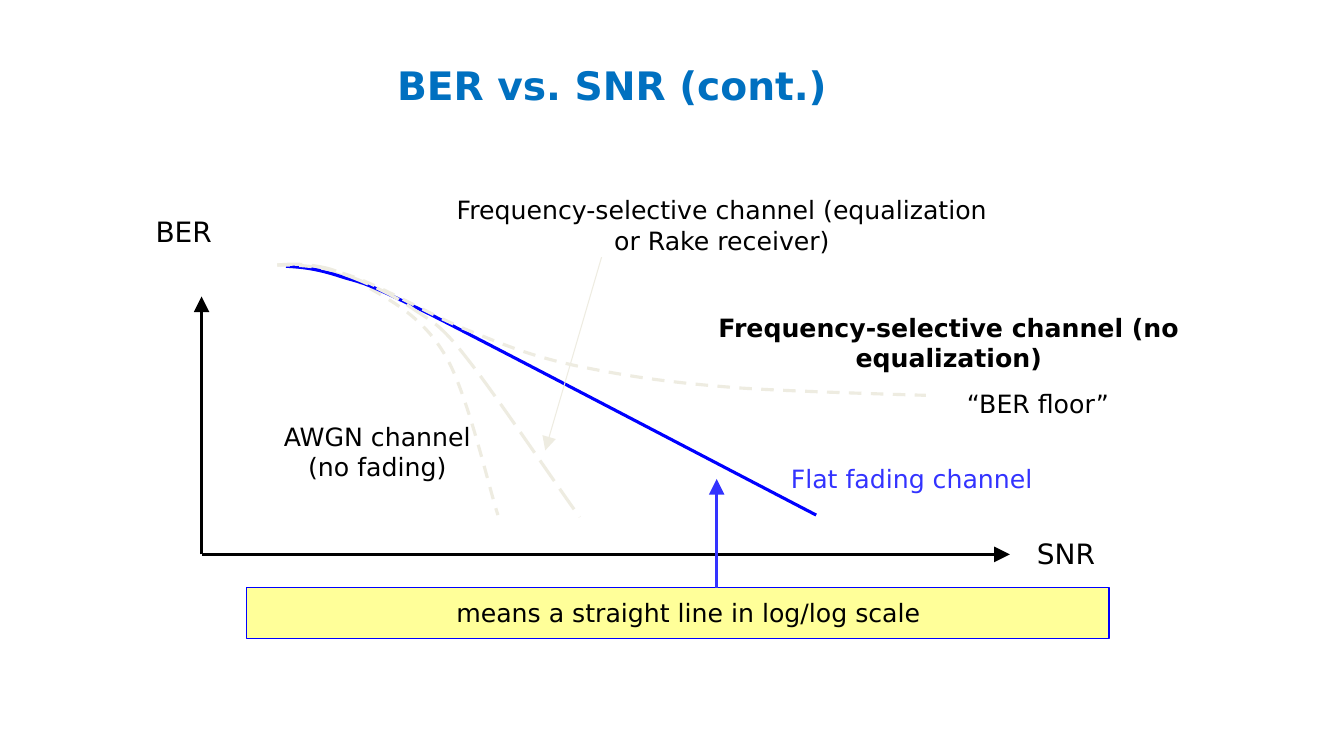
import pptx
import pptx.dml.color
import pptx.enum.dml
import pptx.enum.shapes
import pptx.enum.text
import pptx.oxml
import pptx.oxml.ns
import pptx.util
from pptx.util import Cm

COLORS = {
    "black": "000000", "white": "FFFFFF", "title": "0070C0", "curve": "0000FF",
    "flat fading": "3333FF", "faint": "EEECE1", "note": "FFFF99",
}
COLORS = {name: pptx.dml.color.RGBColor.from_string(code) for name, code in COLORS.items()}
DASH = pptx.enum.dml.MSO_LINE.DASH
LONG_DASH = pptx.enum.dml.MSO_LINE.LONG_DASH
LEFT = pptx.enum.text.PP_ALIGN.LEFT
CENTER = pptx.enum.text.PP_ALIGN.CENTER
NAMESPACE = pptx.oxml.ns.nsdecls("a")


def bend(outline):
    """Turn every three straight segments into one cubic curve."""
    segments = outline._element.xpath(".//a:lnTo")
    for i in range(0, len(segments), 3):
        cubic = pptx.oxml.parse_xml(f"<a:cubicBezTo {NAMESPACE}/>")
        segments[i].addprevious(cubic)
        for segment in segments[i:i + 3]:
            cubic.append(segment[0])
            segment.getparent().remove(segment)


def write(shape, text, size, color, align, bold=False):
    frame = shape.text_frame
    frame.word_wrap = True
    paragraph = frame.paragraphs[0]
    paragraph.alignment = align
    run = paragraph.add_run()
    run.text = text
    run.font.name = "DejaVu Sans"
    run.font.size = pptx.util.Pt(size)
    run.font.bold = bold
    run.font.color.rgb = COLORS[color]


presentation = pptx.Presentation()
presentation.slide_width = Cm(33.87)
presentation.slide_height = Cm(19.05)
slide = presentation.slides.add_slide(presentation.slide_layouts[6])
shapes = slide.shapes

note = shapes.add_shape(pptx.enum.shapes.MSO_SHAPE.RECTANGLE,
                        Cm(6.21), Cm(14.81), Cm(21.74), Cm(1.27))
note.shadow.inherit = False
note.fill.solid()
note.fill.fore_color.rgb = COLORS["note"]
note.line.color.rgb = COLORS["curve"]
note.line.width = pptx.util.Pt(0.75)

# Each curve: a start point, then two control points and an end per segment
awgn = [(7.21, 6.71),
        (7.87, 6.76), (8.56, 6.83), (9.22, 7.21),
        (9.88, 7.59), (10.67, 8), (11.23, 8.97),
        (11.79, 9.93), (12.32, 12.29), (12.55, 12.98)]
flat_fading = [(7.21, 6.71),
               (7.57, 6.73), (7.95, 6.76), (8.56, 6.96),
               (9.17, 7.16), (8.89, 6.96), (10.9, 7.95),
               (12.9, 8.97), (18.95, 12.14), (20.57, 12.98)]
ber_floor = [(6.99, 6.68),
             (7.52, 6.68), (8.05, 6.68), (8.86, 6.96),
             (9.68, 7.24), (10.95, 8), (11.89, 8.36),
             (12.83, 8.74), (13.39, 8.97), (14.53, 9.22),
             (15.67, 9.45), (16.66, 9.63), (18.69, 9.78),
             (20.7, 9.91), (25.3, 10.01), (26.62, 10.06)]
equalized = [(6.99, 6.68),
             (7.26, 6.65), (7.54, 6.65), (7.82, 6.68),
             (8.08, 6.73), (8.26, 6.73), (8.66, 6.91),
             (9.09, 7.06), (9.86, 7.39), (10.36, 7.75),
             (10.87, 8.1), (11.07, 8.13), (11.76, 9.02),
             (12.47, 9.91), (14.12, 12.37), (14.61, 13.03)]

for curve, color, dash in [
    (awgn, "faint", DASH),
    (flat_fading, "curve", None),
    (ber_floor, "faint", DASH),
    (equalized, "faint", LONG_DASH),
]:
    start, *points = [(Cm(x), Cm(y)) for x, y in curve]
    builder = shapes.build_freeform(*start)
    builder.add_line_segments(points, close=False)
    outline = builder.convert_to_shape()
    bend(outline)
    outline.shadow.inherit = False
    outline.fill.background()
    outline.line.color.rgb = COLORS[color]
    outline.line.width = pptx.util.Pt(2.25)
    outline.line.dash_style = dash

# Axes, then pointers to the equalized and flat fading curves
for start_x, start_y, end_x, end_y, color, width in [
    (5.08, 13.97, 25.45, 13.97, "black", 2.25),
    (5.08, 13.97, 5.08, 7.47, "black", 2.25),
    (15.16, 6.48, 13.74, 11.35, "faint", 0.75),
    (18.06, 14.81, 18.06, 12.07, "flat fading", 2.25),
]:
    arrow = shapes.add_connector(pptx.enum.shapes.MSO_CONNECTOR.STRAIGHT,
                                 Cm(start_x), Cm(start_y), Cm(end_x), Cm(end_y))
    arrow.line.color.rgb = COLORS[color]
    arrow.line.width = pptx.util.Pt(width)
    properties = arrow.line._get_or_add_ln()
    properties.append(pptx.oxml.parse_xml(
        f'<a:tailEnd {NAMESPACE} type="triangle" w="lg" len="lg"/>'))
    properties.addnext(pptx.oxml.parse_xml(f"<a:effectLst {NAMESPACE}/>"))

for left, top, width, height, text, size, color, align, bold in [
    (4.7, 1.42, 21.44, 1.45, "BER vs. SNR (cont.)", 28, "title", CENTER, True),
    (25.88, 13.39, 3.05, 1.07, "SNR", 20, "black", LEFT, False),
    (3.67, 5.28, 2.67, 1.07, "BER", 20, "black", LEFT, False),
    (17.14, 7.75, 13.54, 2.01, "Frequency-selective channel (no equalization)",
     18, "black", CENTER, True),
    (19.68, 11.56, 9.5, 1.24, "Flat fading channel", 18, "flat fading", LEFT, False),
    (6.69, 10.49, 5.64, 2.57, "AWGN channel (no fading)", 18, "black", CENTER, False),
    (10.92, 4.78, 14.55, 2.01, "Frequency-selective channel (equalization or Rake receiver)",
     18, "black", CENTER, False),
    (11.25, 14.92, 18.62, 1.02, "means a straight line in log/log scale",
     18, "black", LEFT, False),
]:
    label = shapes.add_textbox(Cm(left), Cm(top), Cm(width), Cm(height))
    write(label, text, size, color, align, bold)

floor_label = shapes.add_shape(pptx.enum.shapes.MSO_SHAPE.RECTANGLE,
                               Cm(23.34), Cm(9.63), Cm(5.64), Cm(1.07))
floor_label.shadow.inherit = False
floor_label.fill.solid()
floor_label.fill.fore_color.rgb = COLORS["white"]
floor_label.line.fill.background()
write(floor_label, "“BER floor”", 18, "black", CENTER)

presentation.save("out.pptx")
